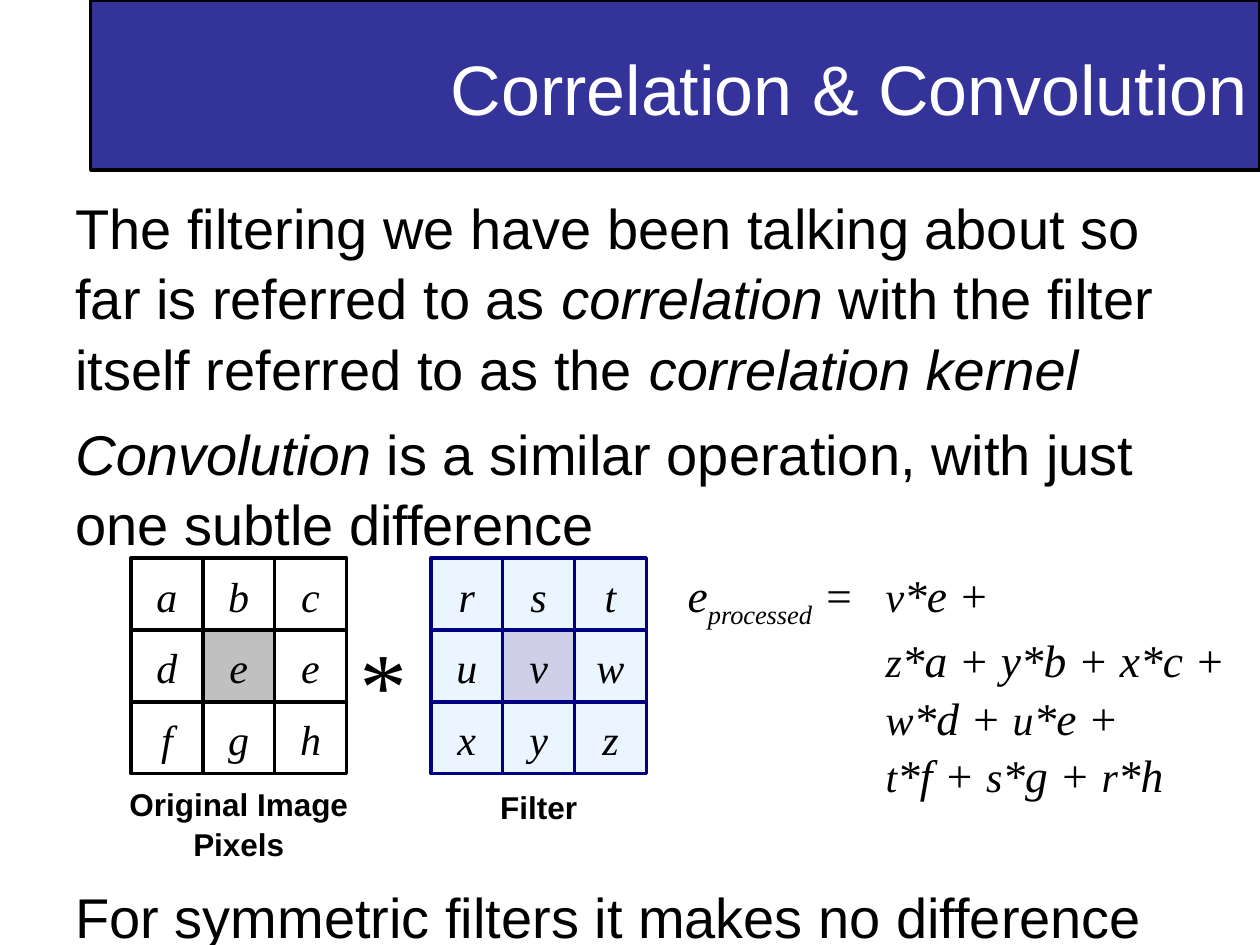
import lxml.etree
import pptx
import pptx.dml.color
import pptx.enum.shapes
import pptx.enum.text
import pptx.oxml.ns
import pptx.util
from dataclasses import dataclass
from pptx.util import Inches

ALIGN = pptx.enum.text.PP_ALIGN
ANCHOR = pptx.enum.text.MSO_ANCHOR
RECTANGLE = pptx.enum.shapes.MSO_SHAPE.RECTANGLE


@dataclass(frozen=True)
class Theme:
    sans: str = "Arial"
    serif: str = "Times New Roman"
    black: str = "000000"
    white: str = "FFFFFF"
    banner: str = "333399"
    gray: str = "C0C0C0"
    sky: str = "99CCFF"
    navy: str = "000080"
    title: int = 40
    body: int = 32
    formula: int = 26
    symbol: int = 24
    caption: int = 18
    operator: int = 54
    line_spacing: float = 1.05


THEME = Theme()


def rgb(code):
    return pptx.dml.color.RGBColor.from_string(code)


def set_values(target, values):
    for name, value in values.items():
        setattr(target, name, value)


def set_frame(shape, **values):
    frame = {"word_wrap": True, "vertical_anchor": ANCHOR.TOP,
             "margin_left": Inches(0.1), "margin_right": Inches(0.1),
             "margin_top": Inches(0.05), "margin_bottom": Inches(0.05)}
    set_values(shape.text_frame, frame | values)


def add_span(para, text, size, font=THEME.sans, color=THEME.black, **values):
    span = para.add_run()
    span.text = text
    set_values(span.font, {"size": pptx.util.Pt(size), "name": font} | values)
    span.font.color.rgb = rgb(color)
    return span


def format_para(para, **values):
    set_values(para, {"line_spacing": THEME.line_spacing} | values)
    return para


def add_label(shapes, box, text, size, wrap=True, **values):
    label = shapes.add_textbox(*box)
    set_frame(label, word_wrap=wrap)
    para = format_para(label.text_frame.paragraphs[0], alignment=ALIGN.CENTER)
    add_span(para, text, size, **values)


def add_panel(shapes, box, fill, line, alpha=None):
    panel = shapes.add_shape(RECTANGLE, *box)
    panel.shadow.inherit = False
    panel.fill.solid()
    panel.fill.fore_color.rgb = rgb(fill)
    panel.line.color.rgb = rgb(line)
    panel.line.width = pptx.util.Pt(2)
    if alpha is not None:
        color = panel.fill._xPr.find(".//" + pptx.oxml.ns.qn("a:srgbClr"))
        lxml.etree.SubElement(color, pptx.oxml.ns.qn("a:alpha"), val=str(alpha * 1000))
    return panel


def add_title(page, box):
    banner = add_panel(page.shapes, box, THEME.banner, THEME.black)
    set_frame(banner, vertical_anchor=ANCHOR.MIDDLE)
    para = format_para(banner.text_frame.paragraphs[0], alignment=ALIGN.RIGHT)
    add_span(para, "Correlation & Convolution", THEME.title, color=THEME.white)


def add_body(page, box, paragraphs):
    """Each paragraph is a list of (text, italic) pairs."""
    body = page.shapes.add_textbox(*box)
    set_frame(body)
    for index, parts in enumerate(paragraphs):
        para = body.text_frame.add_paragraph() if index else body.text_frame.paragraphs[0]
        format_para(para, space_before=pptx.util.Pt(8 if index else 0))
        for text, italic in parts:
            add_span(para, text, THEME.body, italic=italic)


def add_grid(page, box, letters, caption, caption_top, line, fill, center_fill, alpha=None):
    """A 3 by 3 grid of letters with a wider caption centred below."""
    left, top, width, height = box
    group = page.shapes.add_group_shape()
    cell_width, cell_height = width // 3, height // 3
    for index, letter in enumerate(letters):
        row, column = divmod(index, 3)
        cell_box = (left + column * cell_width, top + row * cell_height,
                    cell_width, cell_height)
        cell = add_panel(group.shapes, cell_box,
                         center_fill if index == 4 else fill, line, alpha)
        set_frame(cell, word_wrap=False, vertical_anchor=ANCHOR.MIDDLE)
        para = format_para(cell.text_frame.paragraphs[0], alignment=ALIGN.CENTER)
        add_span(para, letter, THEME.symbol, THEME.serif, italic=True)
    overhang = Inches(0.14)
    caption_box = (left - overhang, caption_top, width + 2 * overhang, Inches(0.4))
    add_label(group.shapes, caption_box, caption, THEME.caption, bold=True)


def add_formula(page, box):
    formula = page.shapes.add_textbox(*box)
    set_frame(formula, word_wrap=False)
    para = format_para(formula.text_frame.paragraphs[0], alignment=ALIGN.LEFT)
    properties = para._p.get_or_add_pPr()
    tabs = lxml.etree.SubElement(properties, pptx.oxml.ns.qn("a:tabLst"))
    lxml.etree.SubElement(tabs, pptx.oxml.ns.qn("a:tab"),
                          pos=str(Inches(1.57)), algn="l")

    def add_part(text, size=THEME.formula):
        return add_span(para, text, size, THEME.serif, italic=True)

    add_part("e")
    add_part("processed")._r.get_or_add_rPr().set("baseline", "-25000")
    add_part(" =")
    # Filter letters that stand in the smaller size, each with what follows
    lines = [[("v", "*e +")],
             [("z", "*a + y*b + x*c +")],
             [("w", "*d + "), ("u", "*e +")],
             [("t", "*f + "), ("s", "*g + "), ("r", "*h")]]
    for index, terms in enumerate(lines):
        if index:
            para.add_line_break()
        add_part("\t")
        for weight, rest in terms:
            add_part(weight, THEME.symbol)
            add_part(rest)


def main():
    deck = pptx.Presentation()
    deck.slide_width, deck.slide_height = Inches(10), Inches(7.5)
    page = deck.slides.add_slide(deck.slide_layouts[6])

    # Heading and text
    add_title(page, (Inches(0.72), 0, Inches(9.28), Inches(1.35)))
    add_body(page, (Inches(0.5), Inches(1.46), Inches(9), Inches(2.9)), [
        [("The filtering we have been talking about so far is referred to as ", False),
         ("correlation ", True),
         ("with the filter itself referred to as the ", False),
         ("correlation kernel", True)],
        [("Convolution", True),
         (" is a similar operation, with just one subtle difference", False)]])
    add_body(page, (Inches(0.5), Inches(6.93), Inches(9), Inches(0.57)),
             [[("For symmetric filters it makes no difference", False)]])

    # Formula, grids and the operator between them
    add_formula(page, (Inches(5.36), Inches(4.43), Inches(4.56), Inches(1.89)))
    grid_top, grid_size = Inches(4.43), Inches(1.71)
    add_grid(page, (Inches(3.42), grid_top, grid_size, grid_size), "rstuvwxyz",
             "Filter", Inches(6.19), THEME.navy, THEME.sky, THEME.navy, alpha=19)
    add_grid(page, (Inches(1.04), grid_top, grid_size, grid_size), "abcdeefgh",
             "Original Image Pixels", Inches(6.17), THEME.black, THEME.white, THEME.gray)
    add_label(page.shapes, (Inches(2.72), Inches(4.87), Inches(0.57), Inches(1)),
              "*", THEME.operator, wrap=False, font=THEME.serif, italic=True)

    deck.save("out.pptx")


if __name__ == "__main__":
    main()
